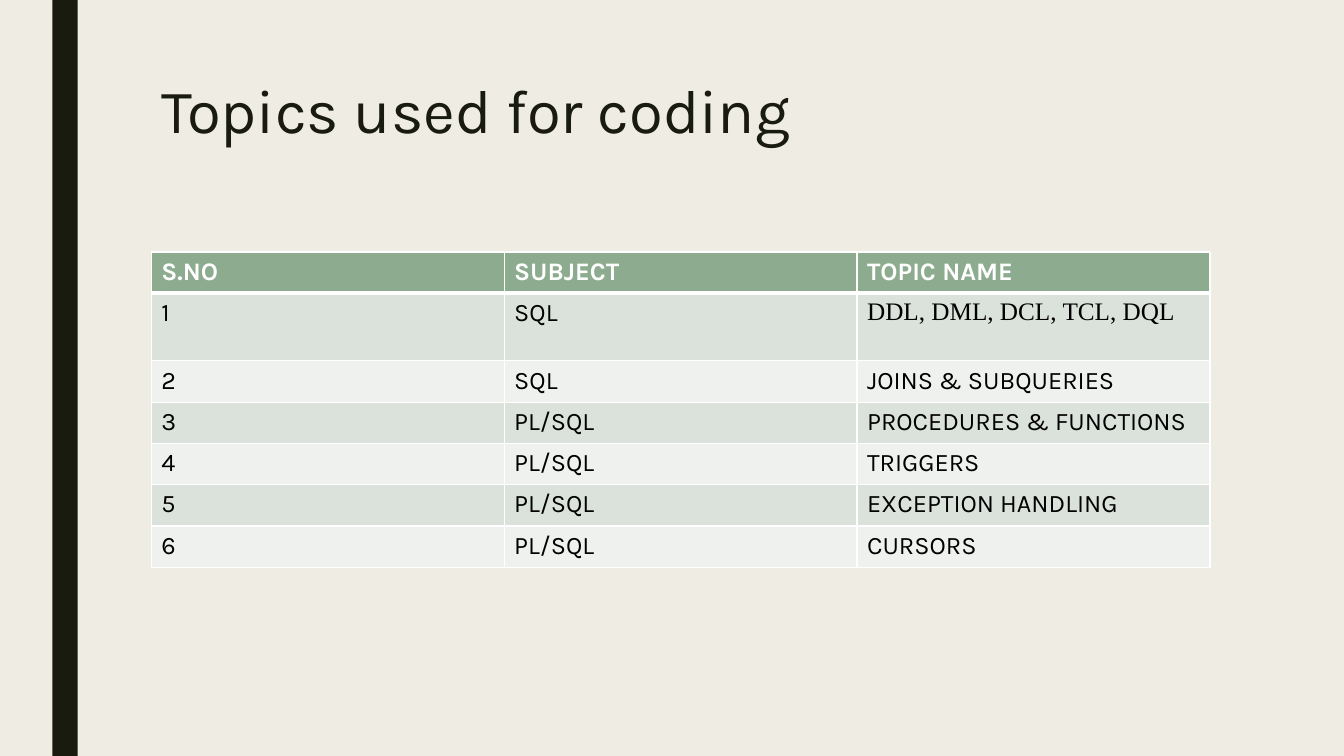
from lxml.etree import SubElement as Sub
from pptx import Presentation
from pptx.dml.color import RGBColor as RGB
from pptx.enum.shapes import MSO_SHAPE as Shape
from pptx.enum.text import MSO_ANCHOR as Anchor
from pptx.oxml.ns import qn
from pptx.util import Inches, Pt

WIDE, HIGH = 13.33, 7.5
INK, PAPER, WHITE, BLACK = "191B0E", "EFEDE3", "FFFFFF", "000000"
HEAD, BANDS = "8DAB8E", ("DBE2DB", "EEF1EE")
SANS, SERIF = "Karla", "Times New Roman"
ROW, TALL = 0.41, 0.67
TOPICS = [
    ("S.NO", "SUBJECT", "TOPIC NAME"),
    ("1", "SQL", "DDL, DML, DCL, TCL, DQL"),
    ("2", "SQL", "JOINS & SUBQUERIES"),
    ("3", "PL/SQL", "PROCEDURES & FUNCTIONS"),
    ("4", "PL/SQL", "TRIGGERS"),
    ("5", "PL/SQL", "EXCEPTION HANDLING"),
    ("6", "PL/SQL", "CURSORS"),
]


def paint(fill, color):
    fill.solid()
    fill.fore_color.rgb = RGB.from_string(color)


def write(para, text, size, color, font=SANS, bold=False):
    run = para.add_run()
    run.text = text
    run.font.size, run.font.name, run.font.bold = Pt(size), font, bold
    run.font.color.rgb = RGB.from_string(color)


def edge(cell, base):
    """Draw white cell borders, with the bottom one base points wide."""
    props = cell._tc.get_or_add_tcPr()
    for side, width in zip("LRTB", (1, 1, 1, base)):
        line = Sub(props, qn(f"a:ln{side}"), w=str(Pt(width)))
        Sub(Sub(line, qn("a:solidFill")), qn("a:srgbClr"), val=WHITE)


def add_bar(slide, box):
    bar = slide.shapes.add_shape(Shape.RECTANGLE, *map(Inches, box))
    bar.shadow.inherit = False
    paint(bar.fill, INK)
    bar.line.fill.background()


def add_title(slide, box, text):
    frame = slide.shapes.add_textbox(*map(Inches, box)).text_frame
    frame.word_wrap = True
    frame.vertical_anchor = Anchor.TOP
    para = frame.paragraphs[0]
    para.line_spacing = 0.89
    write(para, text, 44, INK)


def add_topics(slide, box):
    shape = slide.shapes.add_table(len(TOPICS), len(TOPICS[0]), *map(Inches, box))
    table = shape.table
    for r, words in enumerate(TOPICS):
        top = r == 0
        table.rows[r].height = Inches(TALL if r == 1 else ROW)
        for c, word in enumerate(words):
            cell = table.cell(r, c)
            edge(cell, 3 if top else 1)
            paint(cell.fill, HEAD if top else BANDS[(r - 1) % 2])
            font = SERIF if (r, c) == (1, 2) else SANS
            write(cell.text_frame.paragraphs[0], word, 18,
                  WHITE if top else BLACK, font, top)


def main():
    deck = Presentation()
    deck.slide_width, deck.slide_height = Inches(WIDE), Inches(HIGH)
    slide = deck.slides.add_slide(deck.slide_layouts[6])
    paint(slide.background.fill, PAPER)
    left, width = 1.5, 10.5
    add_bar(slide, (0.52, 0, 0.25, HIGH))
    add_title(slide, (left, HIGH / 10, width, 1.62), "Topics used for coding")
    add_topics(slide, (left, HIGH / 3, width, ROW * (len(TOPICS) - 1) + TALL))
    deck.save("out.pptx")


if __name__ == "__main__":
    main()
